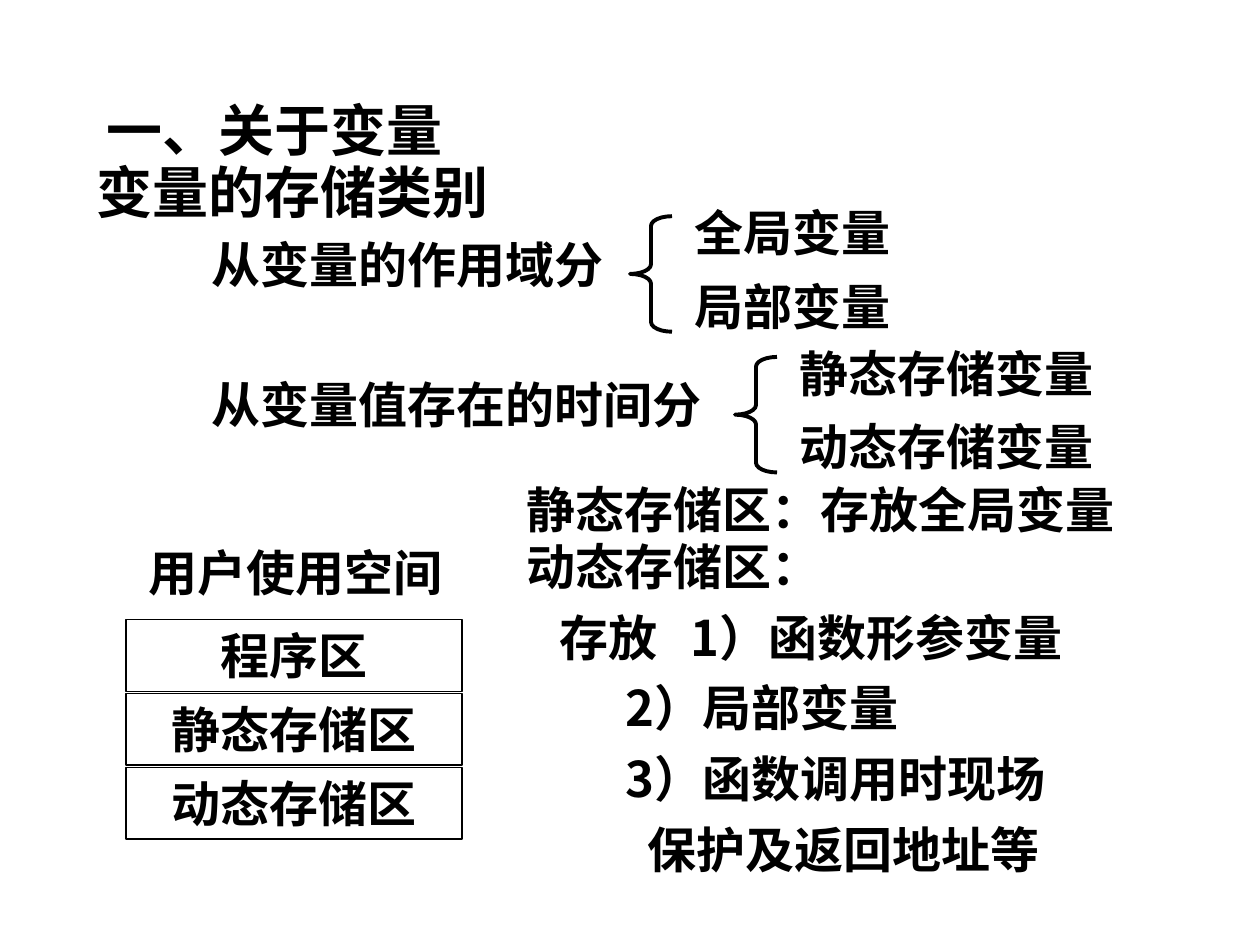
from lxml.etree import SubElement
from pptx import Presentation
from pptx.dml.color import RGBColor
from pptx.enum.shapes import MSO_SHAPE
from pptx.enum.text import MSO_ANCHOR, MSO_AUTO_SIZE, PP_ALIGN
from pptx.oxml.ns import qn
from pptx.util import Inches, Pt

BLACK = RGBColor(0, 0, 0)
WIDTH, HEIGHT = Inches(10), Inches(7.5)
COLUMNS, ROWS = 120, 90
HEADING, BODY = 32, 28
CJK_FONT, LATIN_FONT = "Noto Sans CJK SC", "Times New Roman"


def cell(column, row, columns, rows):
    """Left, top, width and height of a block of grid units."""
    return (int(WIDTH * column / COLUMNS), int(HEIGHT * row / ROWS),
            int(WIDTH * columns / COLUMNS), int(HEIGHT * rows / ROWS))


def apply(target, values):
    for name, value in values.items():
        setattr(target, name, value)


def write(paragraph, words, size, latin, **layout):
    apply(paragraph, layout)
    run = paragraph.add_run()
    run.text = words
    apply(run.font, {"name": latin, "size": Pt(size), "bold": True})
    run.font.color.rgb = BLACK
    SubElement(run.font._element, qn("a:ea"), typeface=CJK_FONT)


def set_tab_stops(paragraph, stops):
    """Left tab stops, in inches from the text edge."""
    tabs = SubElement(paragraph._p.get_or_add_pPr(), qn("a:tabLst"))
    for stop in stops:
        SubElement(tabs, qn("a:tab"), pos=str(int(Inches(stop))), algn="l")


def prepare_frame(frame):
    apply(frame, {"word_wrap": True, "vertical_anchor": MSO_ANCHOR.TOP,
                  "auto_size": MSO_AUTO_SIZE.SHAPE_TO_FIT_TEXT})


def add_lines(shapes, block, lines, size=BODY):
    """Text box; each line is its words and its tab stops."""
    frame = shapes.add_textbox(*cell(*block)).text_frame
    prepare_frame(frame)
    for index, (words, stops) in enumerate(lines):
        paragraph = frame.add_paragraph() if index else frame.paragraphs[0]
        write(paragraph, words, size, CJK_FONT, line_spacing=1.2)
        if stops:
            set_tab_stops(paragraph, stops)


def add_label(shapes, column, row, columns, words, size=BODY):
    rows = 8.9 if size == HEADING else 7.9
    add_lines(shapes, (column, row, columns, rows), [(words, ())], size)


def add_outline(shapes, kind, block, weight):
    outline = shapes.add_shape(kind, *cell(*block))
    outline.shadow.inherit = False
    outline.fill.background()
    outline.line.color.rgb = BLACK
    outline.line.width = Pt(weight)
    return outline


def add_classification(slide, row, brace_column, basis, basis_columns, kinds, kind_columns):
    """A basis of division, a brace and the kinds of variable it gives."""
    shapes = slide.shapes.add_group_shape().shapes
    add_label(shapes, 19, row, basis_columns, basis)
    for index, kind in enumerate(kinds):
        add_label(shapes, brace_column + 5, row - 3 + 7 * index, kind_columns, kind)
    brace = add_outline(shapes, MSO_SHAPE.LEFT_BRACE, (brace_column, row, 4, 11), 2.25)
    brace.adjustments[0] = 0.23


def add_memory_map(slide, areas):
    shapes = slide.shapes.add_group_shape().shapes
    for index, area in enumerate(areas):
        block = (12, 59 + 7.04 * index, 32, 6.84)
        box = add_outline(shapes, MSO_SHAPE.RECTANGLE, block, 0.75)
        prepare_frame(box.text_frame)
        write(box.text_frame.paragraphs[0], area, BODY, LATIN_FONT,
              alignment=PP_ALIGN.CENTER)


def main():
    presentation = Presentation()
    apply(presentation, {"slide_width": WIDTH, "slide_height": HEIGHT})
    slide = presentation.slides.add_slide(presentation.slide_layouts[6])

    add_label(slide.shapes, 9, 7.2, 99, "一、关于变量", HEADING)
    add_label(slide.shapes, 8, 13.1, 104, "变量的存储类别", HEADING)

    add_classification(slide, 20.6, 60, "从变量的作用域分", 41,
                       ["全局变量", "局部变量"], 25)
    add_classification(slide, 34, 70, "从变量值存在的时间分", 50,
                       ["静态存储变量", "动态存储变量"], 32)

    add_label(slide.shapes, 13, 50, 32, "用户使用空间")
    add_memory_map(slide, ["程序区", "静态存储区", "动态存储区"])

    add_label(slide.shapes, 49, 44, 61, "静态存储区：存放全局变量")
    add_lines(slide.shapes, (49, 49.4, 71, 34.8), [
        ("动态存储区：", ()),
        ("\t存放\t1）函数形参变量", (0.26, 1.3)),
        ("\t2）局部变量", (0.78,)),
        ("\t3）函数调用时现场", (0.78,)),
        ("\t保护及返回地址等", (0.96,)),
    ])
    presentation.save("out.pptx")


if __name__ == "__main__":
    main()
